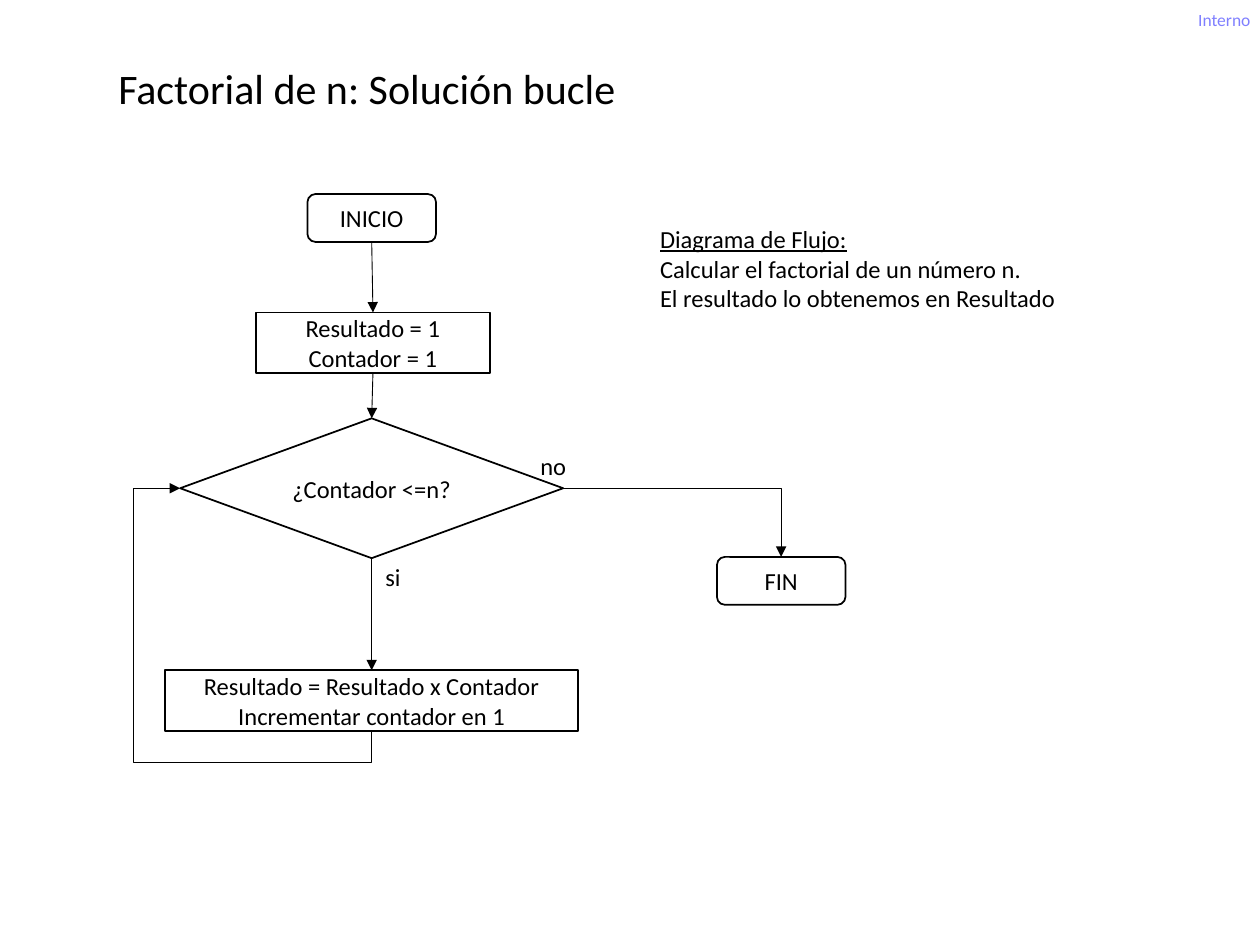
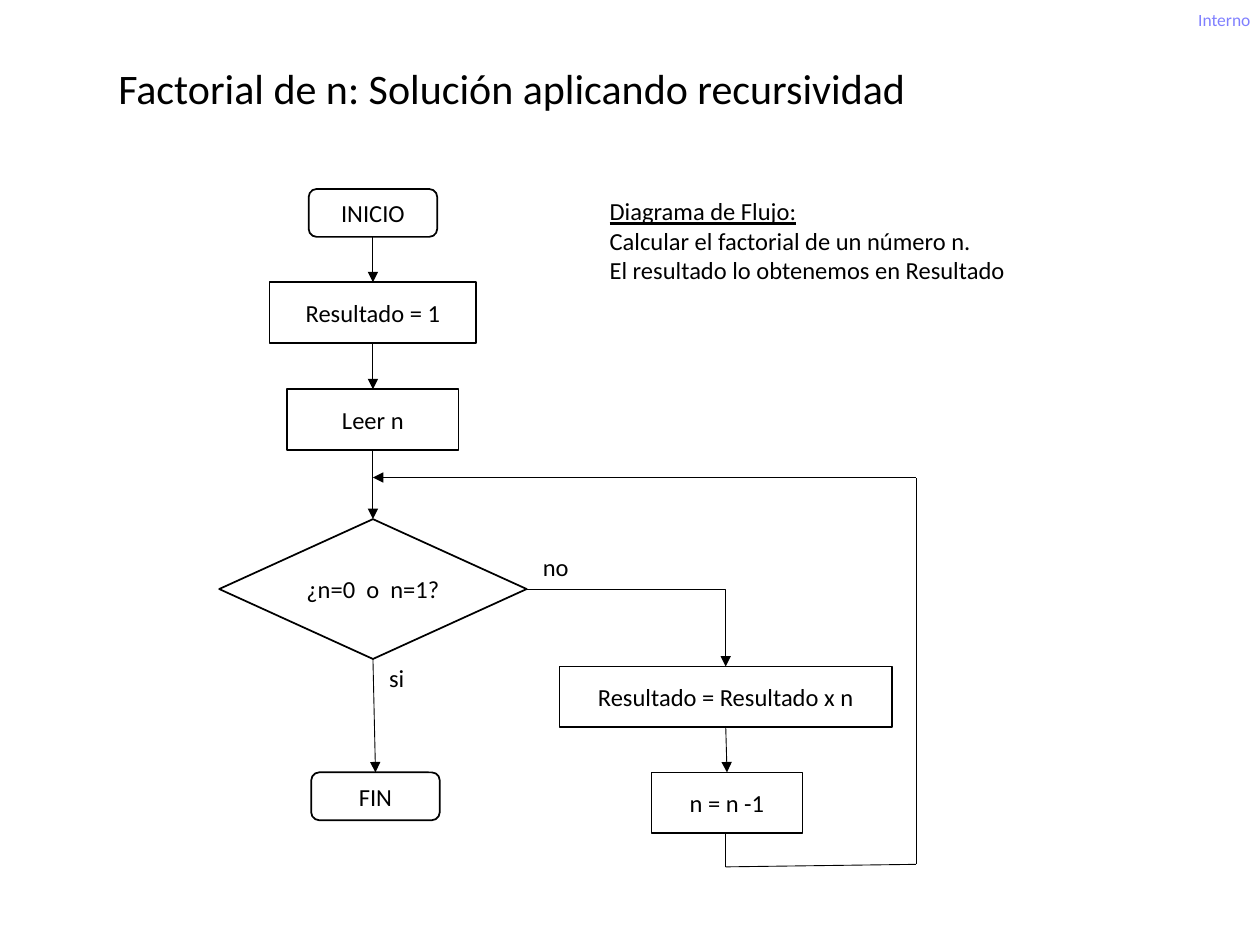
from lxml.etree import SubElement
from pptx import Presentation
from pptx.dml.color import RGBColor
from pptx.enum.shapes import MSO_CONNECTOR as Link, MSO_SHAPE as Preset
from pptx.enum.text import MSO_ANCHOR, MSO_AUTO_SIZE, PP_ALIGN
from pptx.oxml.ns import qn
from pptx.util import Inches, Pt

BLACK = RGBColor(0, 0, 0)
BLUE = RGBColor(0, 0, 255)
FONT = "Calibri"
BODY, TITLE, MARK = 14, 24, 10

NOTE = ["Diagrama de Flujo:",
        "Calcular el factorial de un número n.",
        "El resultado lo obtenemos en Resultado"]

# Kind of step: preset, height, side inset, top and bottom inset
KINDS = {
    "terminal": (Preset.ROUNDED_RECTANGLE, 0.38, 0.07, 0.04),
    "process": (Preset.RECTANGLE, 0.48, 0.1, 0.05),
    "decision": (Preset.FLOWCHART_DECISION, 1.11, 0.07, 0.04),
}
TOP, LEFT, BOTTOM, RIGHT = range(4)  # connection sites

# Steps: kind, centre x, top, width, lines of text
# Arrows: from step, side, to step, side, route
SLIDES = [
    {
        "title": ("Factorial de n: Solución bucle", 4.18),
        "note": (5.14, 1.73),
        "steps": {
            "start": ("terminal", 2.95, 1.54, 1.02, ["INICIO"]),
            "setup": ("process", 2.96, 2.48, 1.86, ["Resultado = 1", "Contador = 1"]),
            "test": ("decision", 2.95, 3.32, 3.04, ["¿Contador <=n?"]),
            "multiply": ("process", 2.95, 5.32, 3.28,
                         ["Resultado = Resultado x Contador",
                          "Incrementar contador en 1"]),
            "end": ("terminal", 6.2, 4.42, 1.02, ["FIN"]),
        },
        "arrows": [
            ("start", BOTTOM, "setup", TOP, "straight"),
            ("setup", BOTTOM, "test", TOP, "straight"),
            ("test", BOTTOM, "multiply", TOP, "straight"),
            ("test", RIGHT, "end", TOP, "corner"),
            ("multiply", BOTTOM, "test", LEFT, "loop"),
        ],
        "answers": [("si", 2.96, 4.41, 0.32), ("no", 4.19, 3.53, 0.41)],
        "return_path": [],
    },
    {
        "title": ("Factorial de n: Solución aplicando recursividad", 6.51),
        "note": (4.74, 1.51),
        "steps": {
            "start": ("terminal", 2.96, 1.5, 1.02, ["INICIO"]),
            "setup": ("process", 2.96, 2.24, 1.64, ["Resultado = 1"]),
            "read": ("process", 2.96, 3.09, 1.36, ["Leer n"]),
            "test": ("decision", 2.96, 4.12, 2.44, ["¿n=0  o  n=1?"]),
            "end": ("terminal", 2.98, 6.13, 1.02, ["FIN"]),
            "multiply": ("process", 5.76, 5.29, 2.64, ["Resultado = Resultado x n"]),
            "decrease": ("process", 5.77, 6.13, 1.2, ["n = n -1"]),
        },
        "arrows": [
            ("start", BOTTOM, "setup", TOP, "straight"),
            ("setup", BOTTOM, "read", TOP, "straight"),
            ("read", BOTTOM, "test", TOP, "straight"),
            ("test", BOTTOM, "end", TOP, "straight"),
            ("test", RIGHT, "multiply", TOP, "corner"),
            ("multiply", BOTTOM, "decrease", TOP, "straight"),
        ],
        "answers": [("si", 2.99, 5.21, 0.32), ("no", 4.21, 4.33, 0.41)],
        "return_path": [(5.76, 6.61), (5.76, 6.88), (7.27, 6.86),
                        (7.27, 3.79), (2.96, 3.79)],
    },
]
LOOP_DROP, LOOP_OUT = Inches(0.25), Inches(0.37)


def write(frame, lines, size=BODY, color=BLACK, align=PP_ALIGN.LEFT, heading=False):
    """Fill a text frame, one paragraph a line; heading underlines the first."""
    for index, line in enumerate(lines):
        paragraph = frame.add_paragraph() if index else frame.paragraphs[0]
        paragraph.alignment = align
        run = paragraph.add_run()
        run.text = line
        run.font.name, run.font.size = FONT, Pt(size)
        run.font.color.rgb = color
        if heading and index == 0:
            run.font.underline = True


def set_insets(frame, side, edge):
    frame.margin_left = frame.margin_right = Inches(side)
    frame.margin_top = frame.margin_bottom = Inches(edge)


def add_text(slide, lines, x, y, width, height, wrap=False, **style):
    box = slide.shapes.add_textbox(*map(Inches, (x, y, width, height)))
    box.text_frame.word_wrap = wrap
    box.text_frame.auto_size = MSO_AUTO_SIZE.SHAPE_TO_FIT_TEXT
    write(box.text_frame, lines, **style)
    return box.text_frame


def add_mark(slide):
    frame = add_text(slide, ["Interno"], 9.51, 0.07, 0.45, 0.17, wrap=True,
                     size=MARK, color=BLUE)
    set_insets(frame, 0, 0)
    tint = next(frame.paragraphs[0].runs[0].font.color._xFill.iter(qn("a:srgbClr")))
    SubElement(tint, qn("a:alpha"), val="50000")


def add_step(slide, kind, center, top, width, lines):
    preset, height, side, edge = KINDS[kind]
    step = slide.shapes.add_shape(
        preset, *map(Inches, (center - width / 2, top, width, height)))
    step.shadow.inherit = False
    step.fill.background()
    step.line.color.rgb, step.line.width = BLACK, Pt(1)
    frame = step.text_frame
    frame.word_wrap, frame.vertical_anchor = True, MSO_ANCHOR.MIDDLE
    set_insets(frame, side, edge)
    write(frame, lines, align=PP_ALIGN.CENTER)
    return step


def add_line(slide, start=(0, 0), end=(0, 0), link=Link.STRAIGHT, arrow=True):
    line = slide.shapes.add_connector(link, *map(Inches, (*start, *end)))
    line.line.color.rgb, line.line.width = BLACK, Pt(0.5)
    if arrow:
        SubElement(line.line._get_or_add_ln(), qn("a:tailEnd"), type="triangle")
    SubElement(line.element.spPr, qn("a:effectLst"))
    return line


def bend(line, preset, *adjusts):
    geometry = line.element.spPr.find(qn("a:prstGeom"))
    geometry.set("prst", preset)
    guides = geometry.find(qn("a:avLst"))
    for number, share in enumerate(adjusts, 1):
        SubElement(guides, qn("a:gd"), name=f"adj{number}",
                   fmla=f"val {round(share * 100000)}")


def bend_loop(line):
    """Route down, left, up and right: a four-part elbow turned by 90 degrees."""
    across, rise = line.width, line.height
    middle_x, middle_y = line.left + across // 2, line.top + rise // 2
    line.left, line.top = middle_x - rise // 2, middle_y - across // 2
    line.width, line.height = rise, across
    frame = line.element.spPr.find(qn("a:xfrm"))
    frame.set("rot", "5400000")
    frame.set("flipH", "1")
    frame.set("flipV", "0")
    bend(line, "bentConnector4", -LOOP_DROP / rise, 1 + LOOP_OUT / across)


def add_arrow(slide, source, source_side, target, target_side, route):
    line = add_line(slide, link=Link.STRAIGHT if route == "straight" else Link.ELBOW)
    line.begin_connect(source, source_side)
    line.end_connect(target, target_side)
    if route == "corner":
        bend(line, "bentConnector2")
    elif route == "loop":
        bend_loop(line)


def add_flowchart(slide, content):
    add_mark(slide)
    title, title_width = content["title"]
    add_text(slide, [title], 0.84, 0.45, title_width, 0.5, size=TITLE)
    add_text(slide, NOTE, *content["note"], 3.77, 1.04, wrap=True, heading=True)
    steps = {name: add_step(slide, *step) for name, step in content["steps"].items()}
    for source, source_side, target, target_side, route in content["arrows"]:
        add_arrow(slide, steps[source], source_side, steps[target], target_side, route)
    for answer, x, y, width in content["answers"]:
        add_text(slide, [answer], x, y, width, 0.34)
    corners = content["return_path"]
    for start, end in zip(corners, corners[1:]):
        add_line(slide, start, end, arrow=end == corners[-1])


def main():
    deck = Presentation()
    deck.slide_width, deck.slide_height = Inches(10), Inches(7.5)
    for content in SLIDES:
        add_flowchart(deck.slides.add_slide(deck.slide_layouts[6]), content)
    deck.save("out.pptx")


if __name__ == "__main__":
    main()
